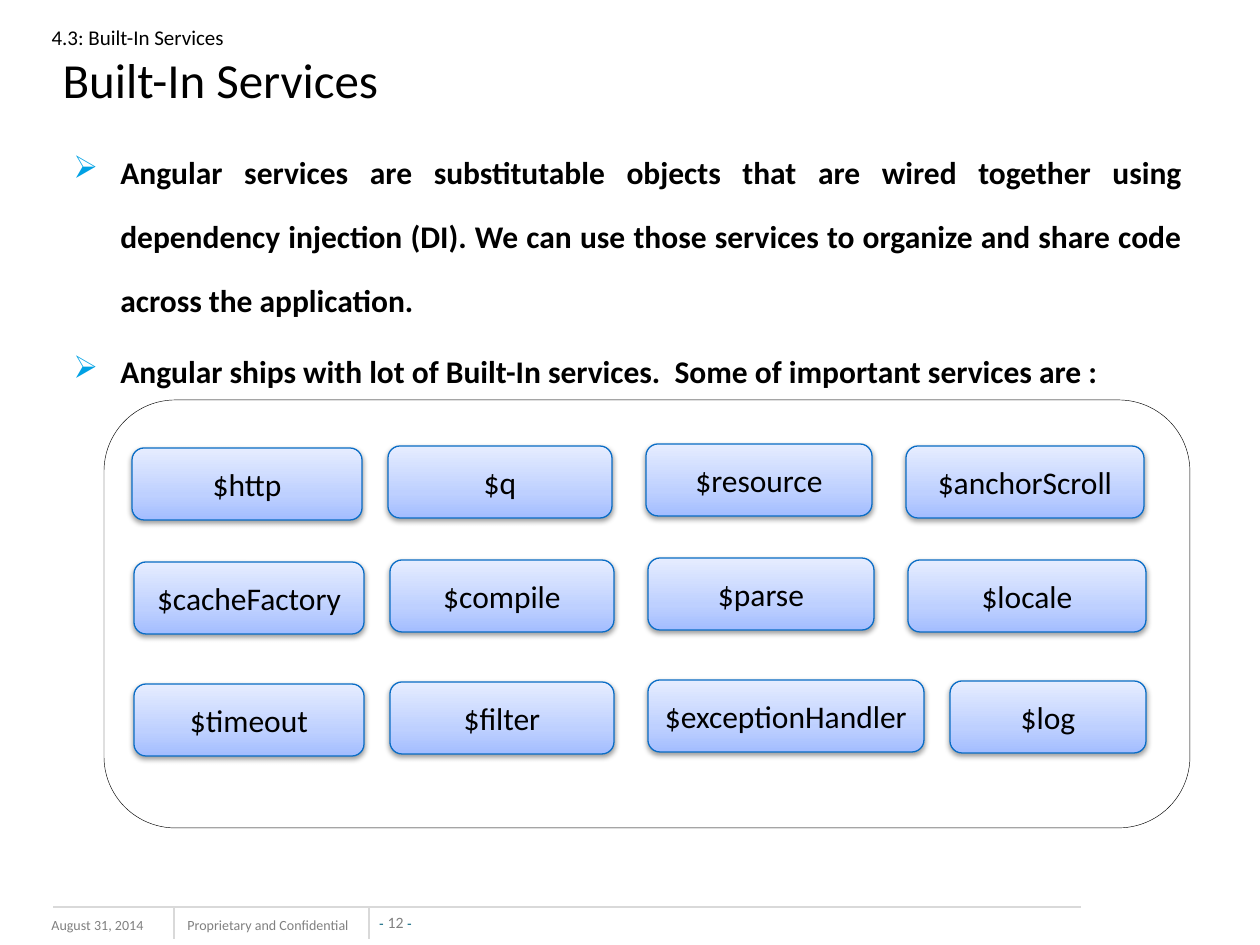
from lxml.etree import SubElement
from pptx import Presentation
from pptx.dml.color import RGBColor
from pptx.enum.shapes import MSO_CONNECTOR, MSO_SHAPE
from pptx.enum.text import MSO_ANCHOR, MSO_AUTO_SIZE, PP_ALIGN
from pptx.oxml import parse_xml
from pptx.oxml.ns import nsdecls, qn
from pptx.util import Emu, Pt

COLORS = {
    "text": "000000", "muted": "808080", "dash": "04617B", "rule": "D9D9D9",
    "bullet": "00A1E4", "border": "0A6DC6",
    "deep": "A3BDFF", "mid": "BED0FF", "light": "E6EDFF",
}
SECTION = "4.3: Built-In Services"
TITLE = " Built-In Services"
POINTS = [
    "Angular services are substitutable objects that are wired together using "
    "dependency injection (DI). We can use those services to organize and share "
    "code across the application.",
    "Angular ships with lot of Built-In services.  Some of important services are :",
]
SERVICES = [
    ["$http", "$q", "$resource", "$anchorScroll"],
    ["$cacheFactory", "$compile", "$parse", "$locale"],
    ["$timeout", "$filter", "$exceptionHandler", "$log"],
]
ROWS = [(0, 444), (2, 558), (2, 680)]
COLUMNS = [(132, 230, 4), (388, 224, 2), (646, 226, 0), (906, 238, 2)]
SPECIAL = {"$exceptionHandler": (646, 276, 0), "$log": (948, 196, 1)}
BUTTON_HEIGHT = 72
FOOTER = [("August 31, 2014", 39, 910, 168, 31),
          ("Proprietary and Confidential", 175, 910, 198, 30)]
PAGE_NUMBER = [("- ", 8, "Arial", "dash"), ("12 ", 9, "Calibri", "muted"),
               ("-", 8, "Arial", "dash")]
RULES = [(1081, 907, 53, 907), (174, 907, 174, 939), (369, 907, 369, 939)]


def px(*values):
    return [Emu(round(v * 914400 / 126)) for v in values]


def rgb(name):
    return RGBColor.from_string(COLORS[name])


def style(r, size, color="text", name="Calibri", bold=False):
    r.font.size, r.font.name, r.font.bold = Pt(size), name, bold
    r.font.color.rgb = rgb(color)


def add_text(s, box):
    tf = s.shapes.add_textbox(*px(*box)).text_frame
    tf.word_wrap = True
    return tf


def add_rule(s, ends):
    line = s.shapes.add_connector(MSO_CONNECTOR.STRAIGHT, *px(*ends))
    line.line.color.rgb = rgb("rule")
    line.line.width = Pt(0.75)
    SubElement(line._element.spPr, qn("a:effectLst"))


def add_box(s, box, color, width):
    sp = s.shapes.add_shape(MSO_SHAPE.ROUNDED_RECTANGLE, *px(*box))
    sp.shadow.inherit = False
    sp.line.color.rgb = rgb(color)
    sp.line.width = Pt(width)
    return sp


def add_button(s, label, box):
    sp = add_box(s, box, "border", 0.75)
    stops = "".join(
        f'<a:gs pos="{pos}"><a:srgbClr val="{COLORS[name]}"/></a:gs>'
        for pos, name in [(0, "deep"), (35000, "mid"), (100000, "light")])
    spPr = sp._element.spPr
    spPr.insert(2, parse_xml(
        f'<a:gradFill {nsdecls("a")}><a:gsLst>{stops}</a:gsLst>'
        '<a:lin ang="16200000" scaled="0"/></a:gradFill>'))
    spPr.find(qn("a:effectLst")).append(parse_xml(
        f'<a:outerShdw {nsdecls("a")} blurRad="40000" dist="20000" dir="5400000" '
        'rotWithShape="0"><a:srgbClr val="000000"><a:alpha val="38000"/>'
        '</a:srgbClr></a:outerShdw>'))
    tf = sp.text_frame
    tf.text = label
    tf.vertical_anchor = MSO_ANCHOR.MIDDLE
    tf.paragraphs[0].alignment = PP_ALIGN.CENTER
    style(tf.paragraphs[0].runs[0], 18)


def add_bullet(p):
    pPr = p._p.get_or_add_pPr()
    indent = px(47)[0]
    pPr.set("marL", str(indent))
    pPr.set("indent", str(-indent))
    color = SubElement(pPr, qn("a:buClr"))
    SubElement(color, qn("a:srgbClr")).set("val", COLORS["bullet"])
    SubElement(pPr, qn("a:buChar")).set("char", "➢")


def add_footer(s):
    for text, *box in FOOTER:
        tf = add_text(s, box)
        tf.text = text
        style(tf.paragraphs[0].runs[0], 8, "muted")
    tf = add_text(s, (379, 913, 33, 19))
    tf.margin_left = tf.margin_right = tf.margin_top = tf.margin_bottom = 0
    tf.vertical_anchor = MSO_ANCHOR.BOTTOM
    p = tf.paragraphs[0]
    p.alignment = PP_ALIGN.CENTER
    for text, size, name, color in PAGE_NUMBER:
        r = p.add_run()
        r.text = text
        style(r, size, color, name)
    for ends in RULES:
        add_rule(s, ends)


def add_title(s):
    title = s.shapes.title
    title.left, title.top, title.width, title.height = px(39, 9, 1051, 115)
    tf = title.text_frame
    tf.text = f"{SECTION}\v{TITLE}"
    tf.auto_size = MSO_AUTO_SIZE.NONE
    tf.vertical_anchor = MSO_ANCHOR.MIDDLE
    p = tf.paragraphs[0]
    p.alignment = PP_ALIGN.LEFT
    for r, size in zip(p.runs, (12, 28)):
        style(r, size)


def add_points(s):
    tf = add_text(s, (61, 120, 1134, 787))
    for i, text in enumerate(POINTS):
        p = tf.add_paragraph() if i else tf.paragraphs[0]
        p.text = text
        add_bullet(p)
        p.alignment = PP_ALIGN.JUSTIFY
        p.line_spacing = 1.7
        if i:
            p.space_before = Pt(3.6)
        style(p.runs[0], 18, bold=True)


def add_services(s):
    add_box(s, (104, 400, 1086, 428), "text", 0.25).fill.background()
    for (shift, top), labels in zip(ROWS, SERVICES):
        for column, label in zip(COLUMNS, labels):
            left, width, drop = SPECIAL.get(label, column)
            add_button(s, label, (left + shift, top + drop, width, BUTTON_HEIGHT))


def main():
    """Build the slide on Angular built-in services."""
    prs = Presentation()
    prs.slide_width, prs.slide_height = px(1260, 945)
    s = prs.slides.add_slide(prs.slide_layouts[5])
    add_footer(s)
    add_title(s)
    add_points(s)
    add_services(s)
    prs.save("out.pptx")


if __name__ == "__main__":
    main()
